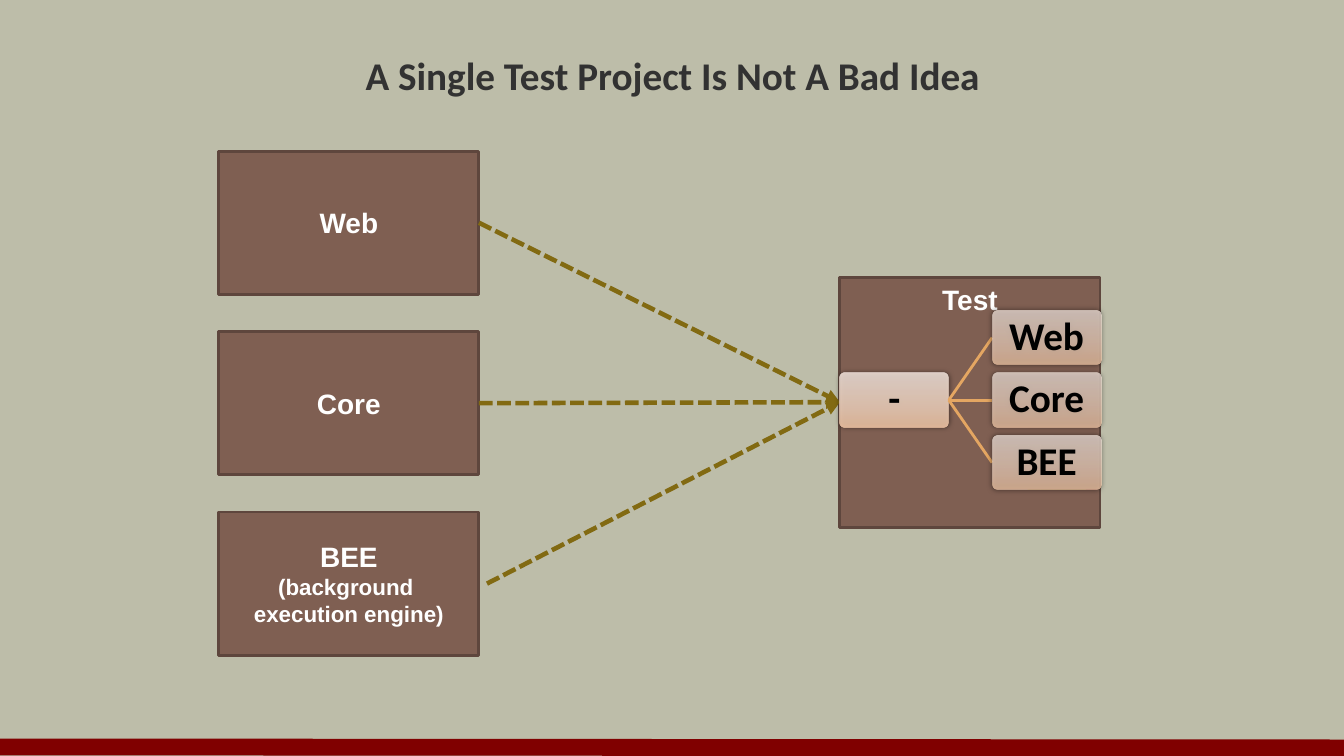
"""Build the slide on keeping tests in a single project."""
import pptx
import pptx.util
import pptx.dml.color
import pptx.enum.dml
import pptx.enum.shapes
import pptx.enum.text
import pptx.oxml
import pptx.oxml.ns

Inches, Pt = pptx.util.Inches, pptx.util.Pt
RGBColor = pptx.dml.color.RGBColor
Shape = pptx.enum.shapes.MSO_SHAPE
Anchor = pptx.enum.text.MSO_ANCHOR
Align = pptx.enum.text.PP_ALIGN

TITLE = "A Single Test Project Is Not A Bad Idea"
PARTS = [
    [("Web", 20)],
    [("Core", 20)],
    [("BEE", 20), ("(background ", 16), ("execution engine)", 16)],
]
TEST = [("Test", 20)]
ROOT = "-"
LEAVES = ["Web", "Core", "BEE"]

SAND = RGBColor(0xBD, 0xBD, 0xA9)
INK = RGBColor(0x32, 0x32, 0x32)
BROWN = RGBColor(0x7F, 0x5F, 0x52)
EDGE = RGBColor(0x5E, 0x46, 0x3D)
WHITE = RGBColor(0xFF, 0xFF, 0xFF)
BLACK = RGBColor(0x00, 0x00, 0x00)
OLIVE = RGBColor(0x82, 0x6A, 0x12)
AMBER = RGBColor(0xE4, 0xA6, 0x62)
MAROON = RGBColor(0x80, 0x00, 0x00)
PEACH = [
    (0, RGBColor(0xFF, 0xD2, 0xAF)),
    (35, RGBColor(0xFF, 0xDE, 0xC7)),
    (100, RGBColor(0xFF, 0xF2, 0xEA)),
]

WIDE, HIGH = 13.33, 7.5
BOX_W, BOX_H = 2.58, 1.42
LEFT, TOP, STEP = 2.17, 1.5, 1.79
TEST_X, TEST_Y, TEST_H = 8.33, 2.75, 2.48
CARD_W, CARD_H, CARD_STEP = 1.08, 0.54, 0.62
LEAF_X, LEAF_Y = 9.84, 3.08
NS = pptx.oxml.ns.nsdecls("a")


def write(shape, lines, font, color):
    """Fill a shape with centred bold lines of text."""
    frame = shape.text_frame
    frame.text = "\n".join(text for text, size in lines)
    for para, (text, size) in zip(frame.paragraphs, lines):
        para.alignment = Align.CENTER
        para.font.name, para.font.size = font, Pt(size)
        para.font.bold, para.font.color.rgb = True, color
    return frame


def add_box(slide, x, y, high, lines, anchor):
    """Add a brown project box."""
    box = slide.shapes.add_shape(
        Shape.RECTANGLE, Inches(x), Inches(y), Inches(BOX_W), Inches(high))
    box.shadow.inherit = False
    box.fill.solid()
    box.fill.fore_color.rgb = BROWN
    box.line.color.rgb, box.line.width = EDGE, Pt(2)
    frame = write(box, lines, "Arial", WHITE)
    frame.word_wrap, frame.vertical_anchor = False, anchor
    return box


def add_line(slide, x1, y1, x2, y2, color, width):
    """Add a straight line without shadow."""
    line = slide.shapes.add_connector(
        pptx.enum.shapes.MSO_CONNECTOR.STRAIGHT,
        Inches(x1), Inches(y1), Inches(x2), Inches(y2))
    line.line.color.rgb, line.line.width = color, Pt(width)
    line._element.spPr.append(pptx.oxml.parse_xml(f"<a:effectLst {NS}/>"))
    return line


def add_card(slide, x, y, text, alpha):
    """Add a rounded card with a see-through gradient and a soft shadow."""
    card = slide.shapes.add_shape(
        Shape.ROUNDED_RECTANGLE,
        Inches(x), Inches(y), Inches(CARD_W), Inches(CARD_H))
    card.adjustments[0] = 0.1
    card.line.fill.background()
    stops = "".join(
        f'<a:gs pos="{pos * 1000}"><a:srgbClr val="{color}">'
        f'<a:alpha val="{alpha * 1000}"/></a:srgbClr></a:gs>'
        for pos, color in PEACH)
    props = card._element.spPr
    props.insert(2, pptx.oxml.parse_xml(
        f'<a:gradFill {NS} rotWithShape="1"><a:gsLst>{stops}</a:gsLst>'
        '<a:lin ang="16200000" scaled="0"/></a:gradFill>'))
    props.append(pptx.oxml.parse_xml(
        f'<a:effectLst {NS}><a:outerShdw blurRad="{Pt(4)}" dist="0" dir="0">'
        f'<a:srgbClr val="{BLACK}"><a:alpha val="64000"/></a:srgbClr>'
        '</a:outerShdw></a:effectLst>'))
    frame = write(card, [(text, 28)], "Calibri", BLACK)
    frame.word_wrap, frame.vertical_anchor = True, Anchor.MIDDLE
    frame.margin_left = frame.margin_right = Inches(0.04)
    frame.margin_top = frame.margin_bottom = Inches(0.04)
    frame.paragraphs[0].line_spacing = 0.9


def main():
    """Lay out the slide and save it."""
    deck = pptx.Presentation()
    deck.slide_width, deck.slide_height = Inches(WIDE), Inches(HIGH)
    slide = deck.slides.add_slide(deck.slide_layouts[5])
    slide.background.fill.solid()
    slide.background.fill.fore_color.rgb = SAND
    add_line(slide, 0, 7.41, WIDE, 7.42, MAROON, 12)

    title = slide.shapes.title
    title.left, title.top = Inches(0.67), Inches(0.33)
    title.width, title.height = Inches(12), Inches(0.83)
    frame = write(title, [(TITLE, 28)], "Calibri", INK)
    frame.vertical_anchor = Anchor.MIDDLE

    for row, lines in enumerate(PARTS):
        add_box(slide, LEFT, TOP + row * STEP, BOX_H, lines, Anchor.MIDDLE)
    add_box(slide, TEST_X, TEST_Y, TEST_H, TEST, Anchor.TOP)

    for row, gap in enumerate((0, 0, 0.08)):
        arrow = add_line(
            slide, LEFT + BOX_W + gap, TOP + row * STEP + BOX_H / 2,
            TEST_X, TEST_Y + TEST_H / 2, OLIVE, 3.25)
        arrow.line.dash_style = pptx.enum.dml.MSO_LINE.SQUARE_DOT
        arrow.line._get_or_add_ln().append(
            pptx.oxml.parse_xml(f'<a:tailEnd {NS} type="triangle"/>'))

    root_y = LEAF_Y + CARD_STEP
    add_card(slide, TEST_X, root_y, ROOT, 80)
    for row, text in enumerate(LEAVES):
        y = LEAF_Y + row * CARD_STEP
        add_line(slide, TEST_X + CARD_W, root_y + CARD_H / 2,
                 LEAF_X, y + CARD_H / 2, AMBER, 2)
        add_card(slide, LEAF_X, y, text, 70)
    deck.save("out.pptx")


if __name__ == "__main__":
    main()
